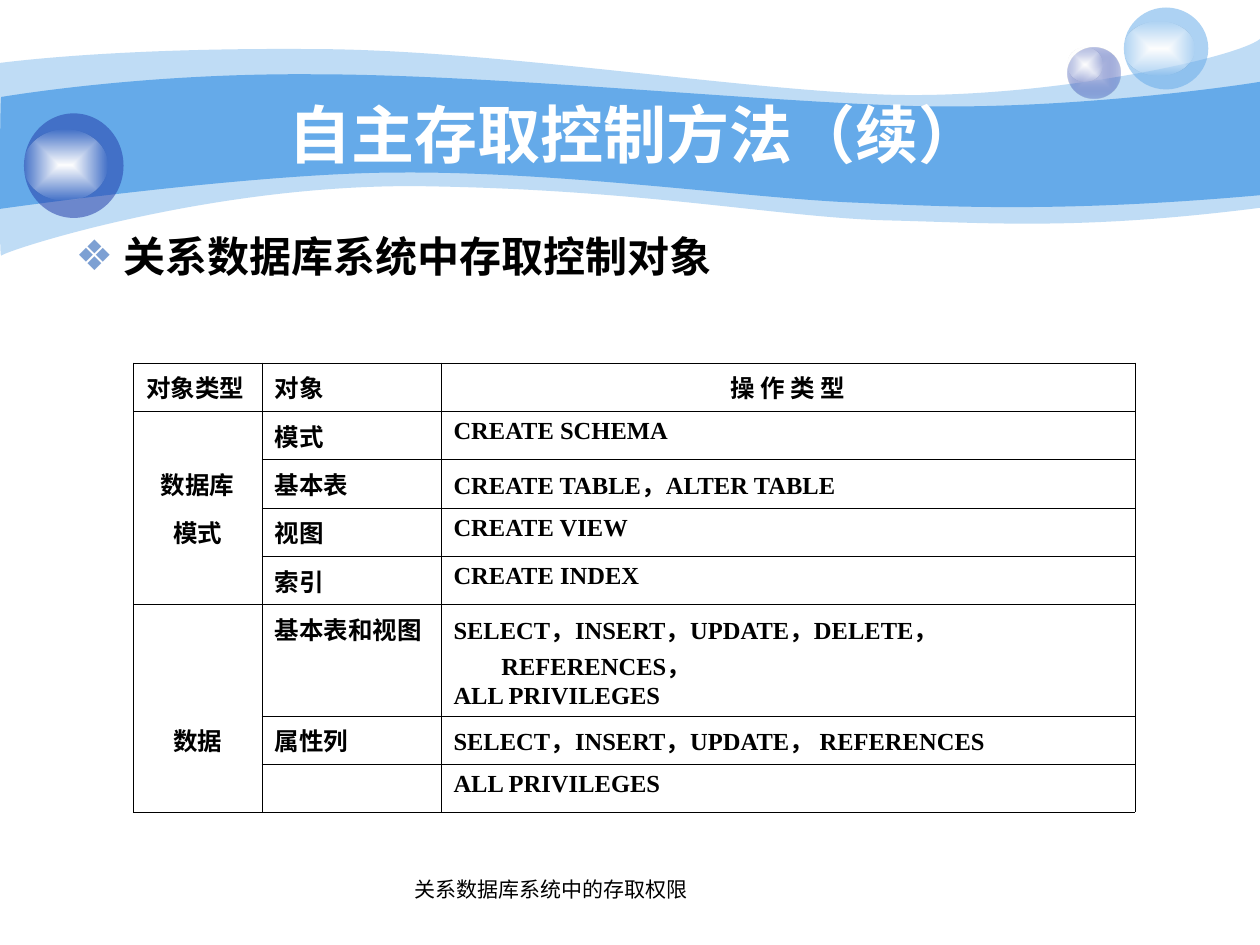
from lxml.etree import SubElement
from pptx import Presentation
from pptx.dml.color import RGBColor
from pptx.enum.shapes import MSO_SHAPE
from pptx.enum.text import MSO_ANCHOR, MSO_AUTO_SIZE, PP_ALIGN
from pptx.oxml.ns import qn
from pptx.util import Inches, Pt

COLORS = {"sky": "65AAE9", "navy": "233DA9", "lilac": "C7CEE9",
          "white": "FFFFFF", "black": "000000", "bullet": "7DA0D3"}
HANGING = 0.38
BORDER_WIDTH = 0.45
CELL_SIZE = 14

PALE_WAVE = ((0, 0.5), [
    ((0.24, 0.47), (1.07, 0.38), (2.47, 0.39)),
    ((3.86, 0.39), (5.75, 0.7), (6.99, 0.75)),
    ((8.22, 0.8), (9.8, 0.47), (10, 0.31)),
    ((10, 1.65),),
    ((8.58, 1.83), (7.87, 1.77), (7.05, 1.75)),
    ((6.22, 1.73), (5.15, 1.51), (3.43, 1.48)),
    ((1.72, 1.44), (0.04, 1.99), (0.01, 2.03)),
    ((-0.01, 2.08), (0, 0.75), (0, 0.5))])
BRIGHT_WAVE = ((0.01, 0.77), [
    ((0.02, 0.77), (1.1, 0.58), (2.48, 0.59)),
    ((3.86, 0.59), (5.95, 0.8), (7.18, 0.84)),
    ((8.41, 0.88), (9.76, 0.69), (10, 0.65)),
    ((10, 1.55),),
    ((8.53, 1.68), (7.65, 1.65), (6.82, 1.61)),
    ((5.99, 1.58), (4.47, 1.36), (3.17, 1.37)),
    ((2.03, 1.37), (-0.02, 1.66), (-0.01, 1.66)),
    ((0, 1.66), (0, 0.77), (0.01, 0.77))])

ORBS = [
    ((8.47, 0.38, 0.42, 0.4), (0, 0, 0.28, 0.27), [("lilac", 100), ("navy", 31)]),
    ((8.92, 0.06, 0.67, 0.65), (0, 0.11, 0.56, 0.43), [("sky", 53)]),
    ((0.19, 0.9, 0.79, 0.83), (0, 0.13, 0.66, 0.56), [("navy", 53)]),
]
GLOSS = [("white", 100), ("white", 0)]

COLUMN_WIDTHS = [1.02, 1.42, 5.51]
ROW_HEIGHTS = [0.33, 0.33, 0.34, 0.33, 0.34, 0.8, 0.33, 0.38]
ROWS = [
    ("对象类型", "对象", "操 作 类 型"),
    ("", "模式", "CREATE SCHEMA"),
    ("数据库", "基本表", "CREATE TABLE，ALTER TABLE"),
    ("模式", "视图", "CREATE VIEW"),
    ("", "索引", "CREATE INDEX"),
    ("", "基本表和视图", "SELECT，INSERT，UPDATE，DELETE，REFERENCES，\nALL PRIVILEGES"),
    ("数据", "属性列", "SELECT，INSERT，UPDATE， REFERENCES"),
    ("", "", "ALL PRIVILEGES"),
]
TYPE_GROUPS = [(0, 0), (1, 4), (5, 7)]


def set_format(font, color="black", **values):
    for name, value in values.items():
        setattr(font, name, value)
    font.color.rgb = RGBColor.from_string(COLORS[color])


def set_box(shape, box):
    for name, value in zip(("left", "top", "width", "height"), box):
        setattr(shape, name, Inches(value))


def set_indent(paragraph, margin, indent):
    properties = paragraph._p.get_or_add_pPr()
    properties.set("marL", str(Inches(margin)))
    properties.set("indent", str(Inches(indent)))
    return properties


def add_color(parent, color, alpha):
    element = SubElement(parent, qn("a:srgbClr"), val=COLORS[color])
    if alpha < 100:
        SubElement(element, qn("a:alpha"), val=str(alpha * 1000))


def paint(shape, stops):
    shape.shadow.inherit = False
    shape.line.fill.background()
    properties = shape._element.spPr
    if len(stops) == 1:
        shape.fill.solid()
        shape.fill.fore_color.rgb = RGBColor.from_string(COLORS[stops[0][0]])
        solid = properties.find(qn("a:solidFill"))
        solid.clear()
        add_color(solid, *stops[0])
        return
    shape.fill.gradient()
    gradient = properties.find(qn("a:gradFill"))
    gradient.clear()
    stop_list = SubElement(gradient, qn("a:gsLst"))
    for position, (color, alpha) in zip((0, 100000), stops):
        stop = SubElement(stop_list, qn("a:gs"), pos=str(position))
        add_color(stop, color, alpha)
    shade = SubElement(gradient, qn("a:path"), path="rect")
    SubElement(shade, qn("a:fillToRect"), {side: "50000" for side in "ltrb"})


def bend_segments(shape, segments):
    lines = list(shape._element.iter(qn("a:lnTo")))
    for segment in segments:
        used, lines = lines[:len(segment)], lines[len(segment):]
        if len(used) == 3:
            used[0].tag = qn("a:cubicBezTo")
            for line in used[1:]:
                used[0].append(line[0])
                line.getparent().remove(line)


def add_wave(slide, outline, alpha):
    start, segments = outline
    builder = slide.shapes.build_freeform(*map(Inches, start))
    points = [point for segment in segments for point in segment]
    builder.add_line_segments([(Inches(x), Inches(y)) for x, y in points], close=True)
    wave = builder.convert_to_shape()
    bend_segments(wave, segments)
    paint(wave, [("sky", alpha)])


def add_orb(slide, box, gloss, stops):
    left, top = box[:2]
    group = slide.shapes.add_group_shape()
    gloss_box = (left + gloss[0], top + gloss[1], *gloss[2:])
    for part_box, part_stops in ((box, stops), (gloss_box, GLOSS)):
        ellipse = group.shapes.add_shape(MSO_SHAPE.OVAL, *map(Inches, part_box))
        paint(ellipse, part_stops)


def place_text(slide, placeholder, box, text, anchor):
    slide.shapes._spTree.append(placeholder._element)
    set_box(placeholder, box)
    frame = placeholder.text_frame
    frame.text = text
    frame.word_wrap = True
    frame.auto_size = MSO_AUTO_SIZE.NONE
    frame.vertical_anchor = anchor
    return frame.paragraphs[0]


def add_title(slide, box):
    paragraph = place_text(slide, slide.shapes.title, box, "自主存取控制方法（续）", MSO_ANCHOR.MIDDLE)
    paragraph.alignment = PP_ALIGN.CENTER
    set_format(paragraph.runs[0].font, "white", size=Pt(36), name="Arial", bold=True)


def add_topic(slide, box):
    paragraph = place_text(slide, slide.placeholders[1], box, "关系数据库系统中存取控制对象", MSO_ANCHOR.TOP)
    paragraph.space_before = Pt(0)
    properties = set_indent(paragraph, HANGING, -HANGING)
    add_color(SubElement(properties, qn("a:buClr")), "bullet", 100)
    SubElement(properties, qn("a:buChar"), char="❖")
    set_format(paragraph.runs[0].font, size=Pt(24), name="Arial", bold=True)


def set_borders(cell, visible):
    properties = cell._tc.get_or_add_tcPr()
    for side in "LRTB":
        line = SubElement(properties, qn("a:ln" + side), w=str(Pt(BORDER_WIDTH)))
        if side in visible:
            add_color(SubElement(line, qn("a:solidFill")), "black", 100)
        else:
            SubElement(line, qn("a:noFill"))
    cell.fill.background()


def fill_cell(cell, text, centered):
    if not text:
        paragraph = cell.text_frame.paragraphs[0]
        SubElement(paragraph._p, qn("a:endParaRPr"), sz=str(CELL_SIZE * 100))
        return
    cell.text = text
    for paragraph in cell.text_frame.paragraphs:
        if centered:
            paragraph.alignment = PP_ALIGN.CENTER
        if text != "数据库":
            set_indent(paragraph, HANGING, -HANGING)
        name = "Arial" if text == "数据库" else "Times New Roman"
        set_format(paragraph.runs[0].font, size=Pt(CELL_SIZE), name=name, bold=True)


def add_permissions(slide, box):
    frame = slide.shapes.add_table(len(ROWS), len(COLUMN_WIDTHS), *map(Inches, box))
    table = frame.table
    table.first_row = table.horz_banding = False
    for column, width in zip(table.columns, COLUMN_WIDTHS):
        column.width = Inches(width)
    for row, height in zip(table.rows, ROW_HEIGHTS):
        row.height = Inches(height)
    tops, bottoms = zip(*TYPE_GROUPS)
    for r, row in enumerate(ROWS):
        for c, text in enumerate(row):
            cell = table.cell(r, c)
            top = "T" if c or r in tops else ""
            bottom = "B" if c or r in bottoms else ""
            set_borders(cell, "LR" + top + bottom)
            fill_cell(cell, text, c == 2 if r == 0 else c == 0)


def add_caption(slide, box):
    frame = slide.shapes.add_textbox(*map(Inches, box)).text_frame
    frame.word_wrap = True
    frame.vertical_anchor = MSO_ANCHOR.MIDDLE
    frame.text = "关系数据库系统中的存取权限"
    set_format(frame.paragraphs[0].runs[0].font, size=Pt(12), name="Times New Roman")


def main():
    presentation = Presentation()
    presentation.slide_width, presentation.slide_height = Inches(10), Inches(7.5)
    slide = presentation.slides.add_slide(presentation.slide_layouts[1])
    add_wave(slide, PALE_WAVE, 41)
    add_wave(slide, BRIGHT_WAVE, 100)
    for orb in ORBS:
        add_orb(slide, *orb)
    add_title(slide, (1, 0.75, 8.08, 0.62))
    add_topic(slide, (0.5, 1.78, 8.99, 0.63))
    add_permissions(slide, (1.06, 2.88, 7.95, 3.15))
    add_caption(slide, (3.19, 6.86, 2.42, 0.4))
    presentation.save("out.pptx")


if __name__ == "__main__":
    main()
